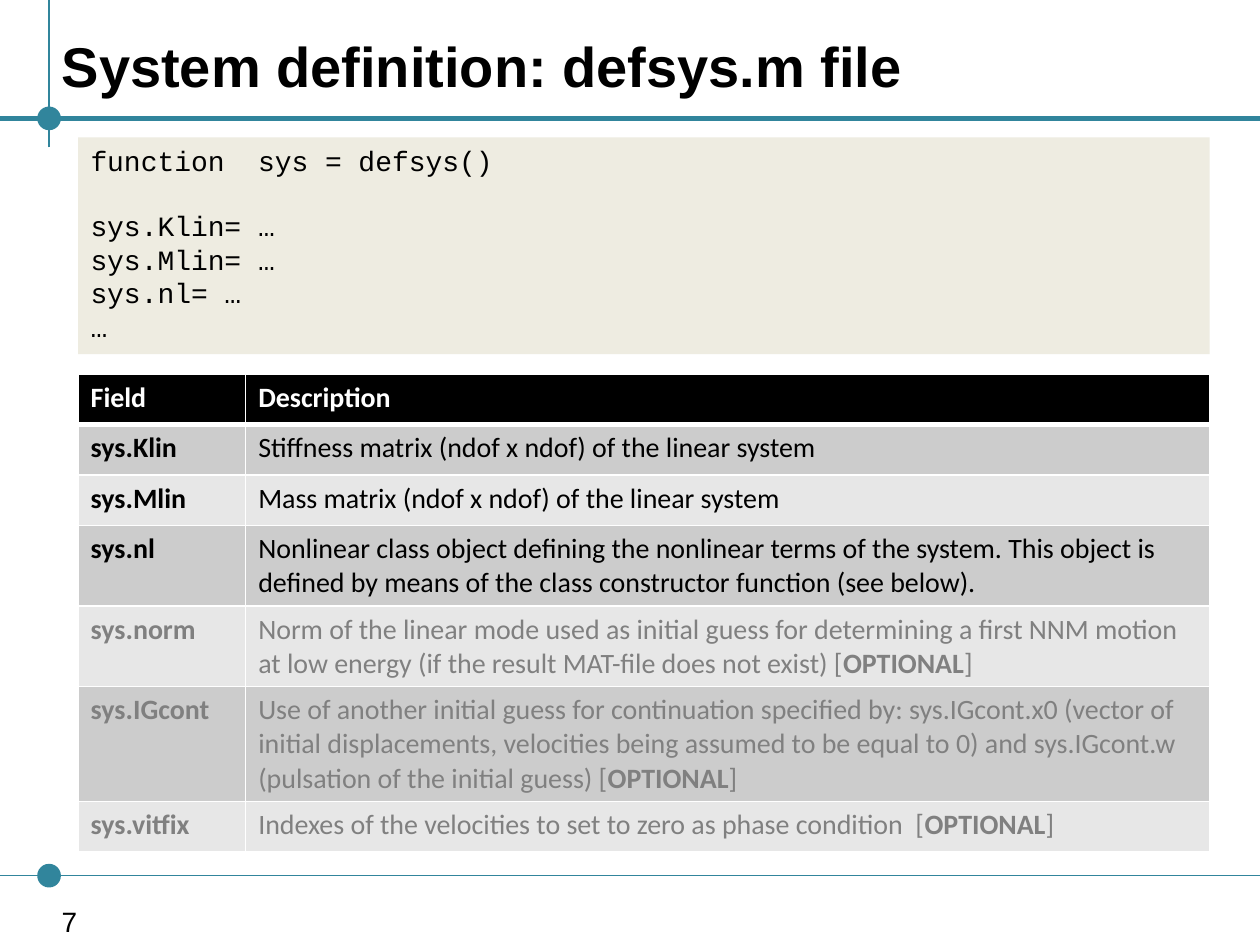
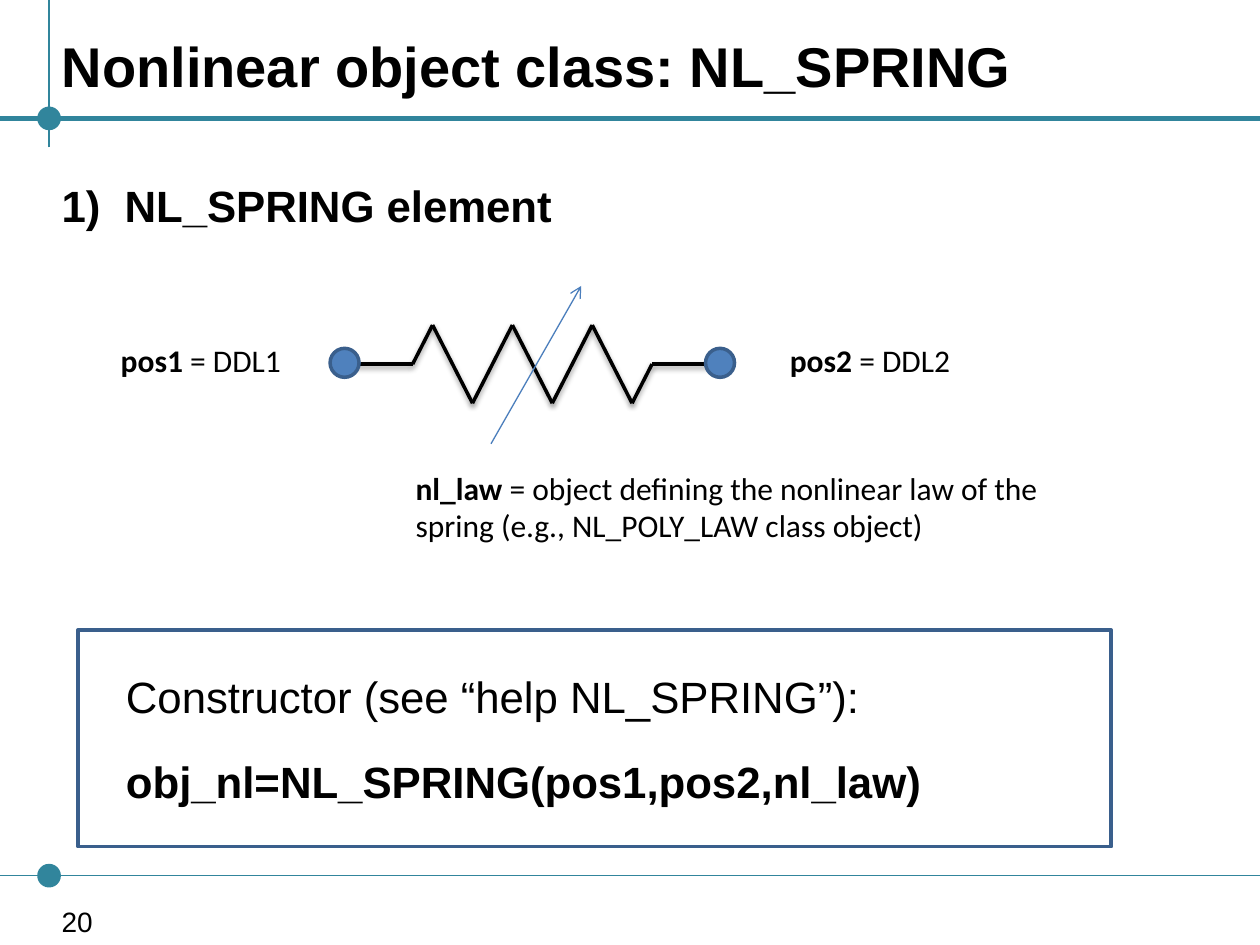
from collections import namedtuple
from dataclasses import dataclass
from itertools import pairwise

from lxml.etree import SubElement
from pptx import Presentation
from pptx.dml.color import RGBColor
from pptx.enum.shapes import MSO_CONNECTOR, MSO_SHAPE
from pptx.enum.text import MSO_ANCHOR, MSO_AUTO_SIZE, PP_ALIGN
from pptx.oxml.ns import qn
from pptx.util import Emu, Inches, Pt


@dataclass(frozen=True)
class Theme:
    sans: str = "Arial"
    body: str = "Calibri"
    mono: str = "Courier New"
    ink: str = "000000"
    paper: str = "FFFFFF"
    teal: str = "31859C"
    sand: str = "EEECE1"
    faded: str = "808080"
    bands: tuple = ("CCCCCC", "E7E7E7")
    node: str = "4F81BD"
    edge: str = "3A5F8C"
    arrow: str = "4B7EBC"
    title: int = 32
    lead: int = 25
    label: int = 18
    small: int = 16


T = Theme()
COLS, ROWS = 100, 75  # grid of the whole slide
UNIT = Inches(10) // COLS


class Box(namedtuple("Box", "x y w h")):
    """An area in grid columns and rows."""

    def at(self, across, down):
        return self.x + across * self.w, self.y + down * self.h

    def emu(self):
        return [Emu(round(n * UNIT)) for n in self]


PAGE = Box(0, 0, COLS, ROWS)
HEAD = Box(3.9, 1.6, 96.1, 7.2)
MAIN = Box(6.2, 10.9, 89.8, 56.7)
FOOT = Box(3.9, 71.9, 6.3, 2.4)
AXIS, TOP, BASE = 3.9, 9.4, 69.5  # lines of the frame

FIELDS = [  # name, description, lines of text, optional
    ("sys.Klin", "Stiffness matrix (ndof x ndof) of the linear system", 1, False),
    ("sys.Mlin", "Mass matrix (ndof x ndof) of the linear system", 1, False),
    ("sys.nl", "Nonlinear class object defining the nonlinear terms of the system. "
     "This object is defined by means of the class constructor function (see below).",
     2, False),
    ("sys.norm", "Norm of the linear mode used as initial guess for determining a first "
     "NNM motion at low energy (if the result MAT-file does not exist) [**OPTIONAL**]",
     2, True),
    ("sys.IGcont", "Use of another initial guess for continuation specified by: "
     "sys.IGcont.x0 (vector of initial displacements, velocities being assumed to be "
     "equal to 0) and sys.IGcont.w (pulsation of the initial guess) [**OPTIONAL**]",
     3, True),
    ("sys.vitfix", "Indexes of the velocities to set to zero as phase condition  "
     "[**OPTIONAL**]", 1, True),
]
CODE = "function  sys = defsys()\nsys.Klin= …\nsys.Mlin= …\nsys.nl= …\n…"


def rgb(color):
    return RGBColor.from_string(color)


def write(frame, text, font=T.body, size=T.small, color=T.ink, anchor=None, gaps=()):
    """Fill a frame; ** toggles bold, gaps maps a line to the points above it."""
    frame.word_wrap = True
    if anchor:
        frame.vertical_anchor = anchor
    for row, line in enumerate(text.split("\n")):
        para = frame.add_paragraph() if row else frame.paragraphs[0]
        para.alignment = PP_ALIGN.LEFT
        if row in gaps:
            para.space_before = Pt(gaps[row])
        for part, piece in enumerate(line.split("**")):
            if not piece:
                continue
            run = para.add_run()
            run.text = piece
            run.font.name, run.font.size = font, Pt(size)
            run.font.bold = part % 2 == 1
            run.font.color.rgb = rgb(color)


def label(slide, box, text, **style):
    shape = slide.shapes.add_textbox(*box.emu())
    write(shape.text_frame, text, **style)
    return shape


def shape(slide, kind, box, fill=None, line=None):
    item = slide.shapes.add_shape(kind, *box.emu())
    item.shadow.inherit = False
    if fill:
        item.fill.solid()
        item.fill.fore_color.rgb = rgb(fill)
    else:
        item.fill.background()
    if line:
        item.line.color.rgb = rgb(line)
        item.line.width = Pt(2)
    else:
        item.line.fill.background()
    return item


def dot(slide, x, y, size, fill, line):
    shape(slide, MSO_SHAPE.OVAL, Box(x - size / 2, y - size / 2, size, size), fill, line)


def rule(slide, start, end, color, width, shade=False, arrow=False):
    ends = [Emu(round(n * UNIT)) for n in (*start, *end)]
    item = slide.shapes.add_connector(MSO_CONNECTOR.STRAIGHT, *ends)
    item.line.color.rgb = rgb(color)
    item.line.width = Pt(width)
    if arrow:
        SubElement(item.line._get_or_add_ln(), qn("a:tailEnd"), type="arrow")
    effects = SubElement(item._element.spPr, qn("a:effectLst"))
    if shade:
        cast = SubElement(effects, qn("a:outerShdw"), blurRad="40000", dist="20000",
                          dir="5400000", rotWithShape="0")
        tint = SubElement(cast, qn("a:srgbClr"), val=T.ink)
        SubElement(tint, qn("a:alpha"), val="38000")


def frame(deck, title, number):
    """Add a slide with its title, guide lines, dots and page number."""
    slide = deck.slides.add_slide(deck.slide_layouts[5])
    for y, width in ((TOP, 3), (BASE, 0.75)):
        rule(slide, (0, y), (PAGE.w, y), T.teal, width)
        dot(slide, AXIS, y, 1.6, T.teal, T.teal)
    rule(slide, (AXIS, 11.7), (AXIS, 0), T.teal, 1.5)
    head = slide.shapes.title
    head.left, head.top, head.width, head.height = HEAD.emu()
    head.text_frame.auto_size = MSO_AUTO_SIZE.NONE
    write(head.text_frame, f"**{title}**", font=T.sans, size=T.title,
          anchor=MSO_ANCHOR.MIDDLE)
    label(slide, FOOT, str(number), font=T.sans, anchor=MSO_ANCHOR.MIDDLE)
    return slide


def paint(cell, text, fill, color, base=1):
    """Format one table cell with white borders; base is the lower one's width."""
    props = cell._tc.get_or_add_tcPr()
    for side, width in (("L", 1), ("R", 1), ("T", 1), ("B", base)):
        line = SubElement(props, qn(f"a:ln{side}"), w=str(Pt(width)))
        SubElement(SubElement(line, qn("a:solidFill")), qn("a:srgbClr"), val=T.paper)
    cell.fill.solid()
    cell.fill.fore_color.rgb = rgb(fill)
    write(cell.text_frame, text, color=color)


def fields(slide, box):
    """Table of the system's fields."""
    table = slide.shapes.add_table(len(FIELDS) + 1, 2, *box.emu()).table
    first = 13.3
    for col, width in zip(table.columns, (first, box.w - first)):
        col.width = Emu(round(width * UNIT))
    lines = [1] + [field[2] for field in FIELDS]
    for row, count in zip(table.rows, lines):
        row.height = Emu(round(max(4, 1 + 2.7 * count) * UNIT))
    for col, text in enumerate(("Field", "Description")):
        paint(table.cell(0, col), f"**{text}**", T.ink, T.paper, base=3)
    for row, (name, about, _, extra) in enumerate(FIELDS):
        color = T.faded if extra else T.ink
        for col, text in enumerate((f"**{name}**", about)):
            paint(table.cell(row + 1, col), text, T.bands[row % 2], color)


def code(slide, box):
    panel = shape(slide, MSO_SHAPE.RECTANGLE, box, fill=T.sand)
    write(panel.text_frame, CODE, font=T.mono, anchor=MSO_ANCHOR.TOP, gaps={1: 18})


def spring(slide, box):
    """Zigzag spring between two nodes, crossed by an arrow."""
    wire = 5.4
    step = (box.w - 2 * wire) / 12
    left, mid = box.at(0, 0.5)
    start = left + wire
    peaks = [(start + step * (2 * i + 1), box.y + box.h * (i % 2)) for i in range(6)]
    points = [(left, mid), (start, mid), *peaks,
              (start + 12 * step, mid), (left + box.w, mid)]
    for here, there in pairwise(points):
        rule(slide, here, there, T.ink, 2, shade=True)
    rule(slide, box.at(0.39, 1.52), box.at(0.63, -0.5), T.arrow, 0.75, arrow=True)
    for x in (left, left + box.w):
        dot(slide, x, mid - 0.1, 2.3, T.node, T.edge)


def maker(slide, box):
    """Outlined panel with the constructor call."""
    panel = shape(slide, MSO_SHAPE.RECTANGLE, box, line=T.edge)
    panel.text_frame.margin_left = Emu(round(3.8 * UNIT))
    write(panel.text_frame, "Constructor (see “help NL_SPRING”):\n"
          "**obj_nl=NL_SPRING(pos1,pos2,nl_law)**", font=T.sans, size=T.lead,
          anchor=MSO_ANCHOR.MIDDLE, gaps={1: 19})


def heading(slide, box):
    item = label(slide, box, "**NL_SPRING element**", font=T.sans, size=T.lead,
                 anchor=MSO_ANCHOR.MIDDLE)
    props = item.text_frame.paragraphs[0]._p.get_or_add_pPr()
    props.set("marL", str(5 * UNIT))
    props.set("indent", str(-5 * UNIT))
    SubElement(props, qn("a:buAutoNum"), type="arabicParenR")


def system(deck):
    slide = frame(deck, "System definition: defsys.m file", 7)
    code(slide, MAIN._replace(h=17.2))
    fields(slide, MAIN._replace(y=29.7, h=37.9))


def element(deck):
    slide = frame(deck, "Nonlinear object class: NL_SPRING", 20)
    heading(slide, Box(HEAD.x, 13.3, HEAD.w, 6))
    spring(slide, Box(27.35, 25.8, 29.8, 6.2))
    for x, end in ((8.6, 1), (61.7, 2)):
        label(slide, Box(x, 26.6, 17.2, 4), f"**pos{end}** = DDL{end}", size=T.label)
    label(slide, Box(32, 36.7, 56.3, 7.1), "**nl_law **= object defining the nonlinear "
          "law of the spring (e.g., NL_POLY_LAW class object)", size=T.label)
    maker(slide, Box(MAIN.x, 50, 82, 17.2))


def main():
    deck = Presentation()
    deck.slide_width, deck.slide_height = COLS * UNIT, ROWS * UNIT
    system(deck)
    element(deck)
    deck.save("out.pptx")


if __name__ == "__main__":
    main()
